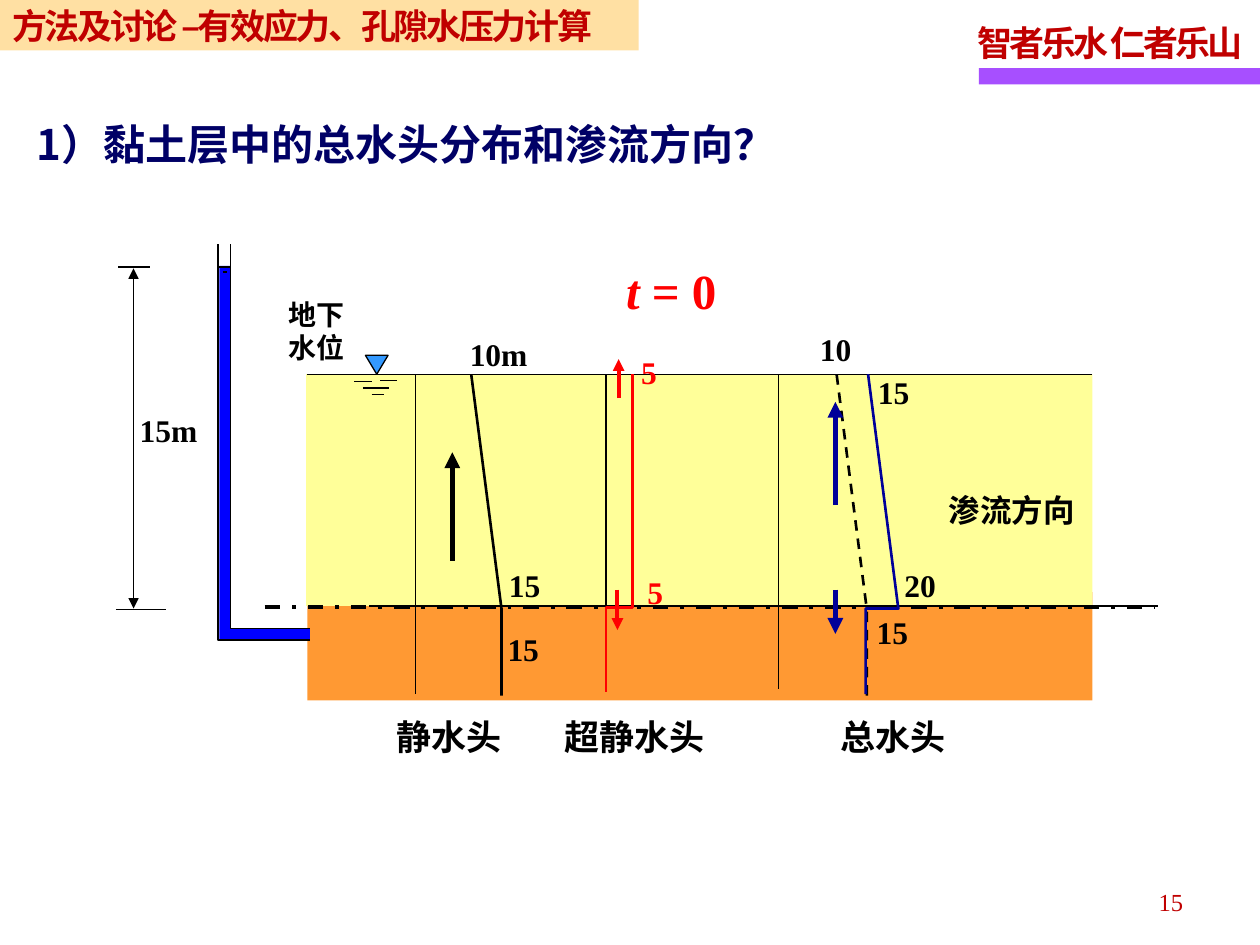
from lxml.etree import SubElement
from pptx import Presentation
from pptx.dml.color import RGBColor
from pptx.enum.dml import MSO_LINE
from pptx.enum.shapes import MSO_CONNECTOR, MSO_SHAPE
from pptx.enum.text import MSO_ANCHOR, MSO_AUTO_SIZE, PP_ALIGN
from pptx.oxml.ns import qn
from pptx.util import Inches, Pt

LATIN, CJK = "Times New Roman", "Noto Sans CJK SC"
BLACK, RED, NAVY, CRIMSON, BLUE = "000000", "FF0000", "000099", "C00000", "0000FF"


def rgb(value):
    return RGBColor.from_string(value)


class Sketch:
    def __init__(self, slide):
        self.slide = slide

    def font(self, r, size, color, bold=True, italic=False, name=LATIN, spacing=None):
        f = r.font
        f.name, f.size, f.bold, f.italic = name, Pt(size), bold, italic
        f.color.rgb = rgb(color)
        rPr = r._r.get_or_add_rPr()
        rPr.find(qn("a:latin")).addnext(rPr.makeelement(qn("a:ea"), {"typeface": CJK}))
        if spacing:
            rPr.set("spc", str(round(spacing * 100)))

    def label(self, sp, text, size, color=BLACK, line=None, align=PP_ALIGN.LEFT,
              wrap=False, **style):
        tf = sp.text_frame
        tf.text = text
        tf.word_wrap = wrap
        tf.auto_size = MSO_AUTO_SIZE.NONE
        for p in tf.paragraphs:
            p.alignment = align
            if line:
                p.line_spacing = line
            for r in p.runs:
                self.font(r, size, color, **style)
        return tf

    def text(self, x, y, w, h, text, size, color=BLACK, **style):
        sp = self.slide.shapes.add_textbox(Inches(x), Inches(y), Inches(w), Inches(h))
        return self.label(sp, text, size, color, **style)

    def title(self, x, y, w, h, text, size, color):
        sp = self.slide.shapes.title
        sp.left, sp.top, sp.width, sp.height = Inches(x), Inches(y), Inches(w), Inches(h)
        tf = self.label(sp, text, size, color, line=1.2, name=CJK)
        tf.margin_left = tf.margin_right = 0
        tf.vertical_anchor = MSO_ANCHOR.MIDDLE

    def paint(self, sp, fill=None, line=None, width=0.75, dash=None):
        sp.shadow.inherit = False
        if fill:
            sp.fill.solid()
            sp.fill.fore_color.rgb = rgb(fill)
        else:
            sp.fill.background()
        if line:
            self.stroke(sp, line, width, dash)
        else:
            sp.line.fill.background()

    def stroke(self, sp, color, width, dash):
        sp.line.color.rgb = rgb(color)
        sp.line.width = Pt(width)
        if dash:
            sp.line.dash_style = dash

    def shape(self, x, y, w, h, fill, line=None, kind=MSO_SHAPE.RECTANGLE, alpha=None):
        sp = self.slide.shapes.add_shape(kind, Inches(x), Inches(y), Inches(w), Inches(h))
        self.paint(sp, fill, line)
        if alpha:
            color = sp._element.spPr.find(qn("a:solidFill"))[0]
            SubElement(color, qn("a:alpha"), val=str(alpha * 1000))
        return sp

    def line(self, x1, y1, x2, y2, color=BLACK, width=0.75, dash=None, ends=()):
        cn = self.slide.shapes.add_connector(
            MSO_CONNECTOR.STRAIGHT, Inches(x1), Inches(y1), Inches(x2), Inches(y2))
        self.stroke(cn, color, width, dash)
        spPr = cn._element.spPr
        for end in ends:
            SubElement(spPr.find(qn("a:ln")), qn("a:" + end), type="triangle")
        SubElement(spPr, qn("a:effectLst"))

    def outline(self, points, close=False, **look):
        pts = [(Inches(x), Inches(y)) for x, y in points]
        fb = self.slide.shapes.build_freeform(*pts[0])
        fb.add_line_segments(pts[1:], close=close)
        self.paint(fb.convert_to_shape(), **look)


def draw_ground(s):
    s.shape(2.44, 4.7, 6.23, 0.86, "FF9933")
    s.shape(2.43, 2.97, 6.24, 1.84, "FFFF99")
    s.line(2.44, 2.97, 8.67, 2.97)
    s.line(2.93, 4.81, 9.19, 4.81)
    s.line(2.1, 4.82, 9.17, 4.82, width=2.25, dash=MSO_LINE.DASH_DOT)
    s.shape(2.9, 2.82, 0.18, 0.15, "3399FF", BLACK, MSO_SHAPE.ISOSCELES_TRIANGLE).rotation = 180
    for x1, x2, y in [(2.81, 2.95, 3.03), (3.02, 3.15, 3.02), (2.88, 3.09, 3.08), (2.95, 3.05, 3.13)]:
        s.line(x1, y, x2, y)
    s.text(2.19, 2.31, 0.65, 0.64, "地下\n水位", 16)


def draw_standpipe(s):
    s.outline([(2.46, 4.99), (1.83, 4.99), (1.83, 2.11), (1.74, 2.11), (1.74, 5.08), (2.46, 5.08)],
              close=True, fill=BLUE)
    for x, y in [(1.83, 4.99), (1.73, 5.08)]:
        s.outline([(2.46, y), (x, y), (x, 1.94)], line=BLACK)
    s.line(1.73, 2.12, 1.83, 2.12)
    s.line(1.77, 2.16, 1.8, 2.16)
    s.line(1.06, 4.83, 1.06, 2.13, ends=("headEnd", "tailEnd"))
    s.line(0.94, 2.12, 1.19, 2.12)
    s.line(0.92, 4.84, 1.32, 4.84)


def draw_heads(s):
    for x, bottom in [(3.3, 5.51), (4.81, 5.49), (6.18, 5.47)]:
        s.line(x, 2.98, x, bottom)
    s.outline([(3.74, 2.97), (3.98, 4.83), (3.98, 5.52)], line=BLACK, width=1.5)
    s.outline([(5.02, 2.97), (5.02, 4.82), (4.81, 4.82), (4.81, 5.49)], line=RED, width=1.5)
    s.outline([(6.64, 2.97), (6.88, 4.84), (6.88, 5.52)], line=BLACK, width=1.5, dash=MSO_LINE.DASH)
    s.outline([(6.89, 2.97), (7.13, 4.83), (6.87, 4.83), (6.87, 5.51)], line=NAVY, width=1.5)
    for x, w, name in [(3.05, 1.08, "静水头"), (4.38, 1.35, "超静水头"), (6.57, 1.09, "总水头")]:
        s.text(x, 5.63, w, 0.43, name, 20)
    for x, y, w, value, color in [
        (1.01, 3.15, 0.66, "15m", BLACK),
        (3.63, 2.55, 0.68, "10m", BLACK),
        (3.94, 4.38, 0.47, "15", BLACK),
        (3.93, 4.89, 0.47, "15", BLACK),
        (4.99, 2.69, 0.33, "5", RED),
        (5.04, 4.44, 0.33, "5", RED),
        (6.41, 2.51, 0.47, "10", BLACK),
        (6.87, 2.85, 0.47, "15", BLACK),
        (7.08, 4.38, 0.47, "20", BLACK),
        (6.86, 4.76, 0.47, "15", BLACK),
    ]:
        s.text(x, y, w, 0.46, value, 18, color, line=1.2)


def draw_flow(s):
    for x, start, end, color, width in [
        (3.59, 4.45, 3.59, BLACK, 3),
        (4.91, 3.16, 2.85, RED, 2.25),
        (4.9, 4.68, 5, RED, 2.25),
        (6.63, 4.01, 3.19, NAVY, 3),
        (6.63, 4.68, 5.03, NAVY, 3),
    ]:
        s.line(x, start, x, end, color, width, ends=("tailEnd",))
    s.text(7.43, 3.85, 1.26, 0.42, "渗流方向", 18)
    p = s.text(4.87, 2.02, 0.75, 0.57, "t ", 28, RED, italic=True).paragraphs[0]
    r = p.add_run()
    r.text = "= 0"
    s.font(r, 28, RED)


def main():
    prs = Presentation()
    prs.slide_width, prs.slide_height = Inches(10), Inches(7.5)
    s = Sketch(prs.slides.add_slide(prs.slide_layouts[5]))
    s.shape(7.77, 0.54, 2.23, 0.13, "A74FFF")
    s.text(7.66, 0.07, 2.36, 0.49, "智者乐水 仁者乐山", 20, CRIMSON, line=1.15, spacing=-1.7)
    s.text(7.16, 6.96, 2.33, 0.4, "15", 14, CRIMSON, line=1.15, align=PP_ALIGN.RIGHT,
           wrap=True, bold=False)
    s.title(0.29, 0.81, 6.03, 0.58, "1）黏土层中的总水头分布和渗流方向？", 24, "000066")
    draw_ground(s)
    draw_standpipe(s)
    draw_heads(s)
    draw_flow(s)
    band = s.shape(0, 0, 5.07, 0.4, "FFCC66", alpha=60)
    s.label(band, "方法及讨论 –有效应力、孔隙水压力计算", 20, CRIMSON, wrap=True, name=CJK, spacing=-1.4)
    prs.save("out.pptx")


if __name__ == "__main__":
    main()
